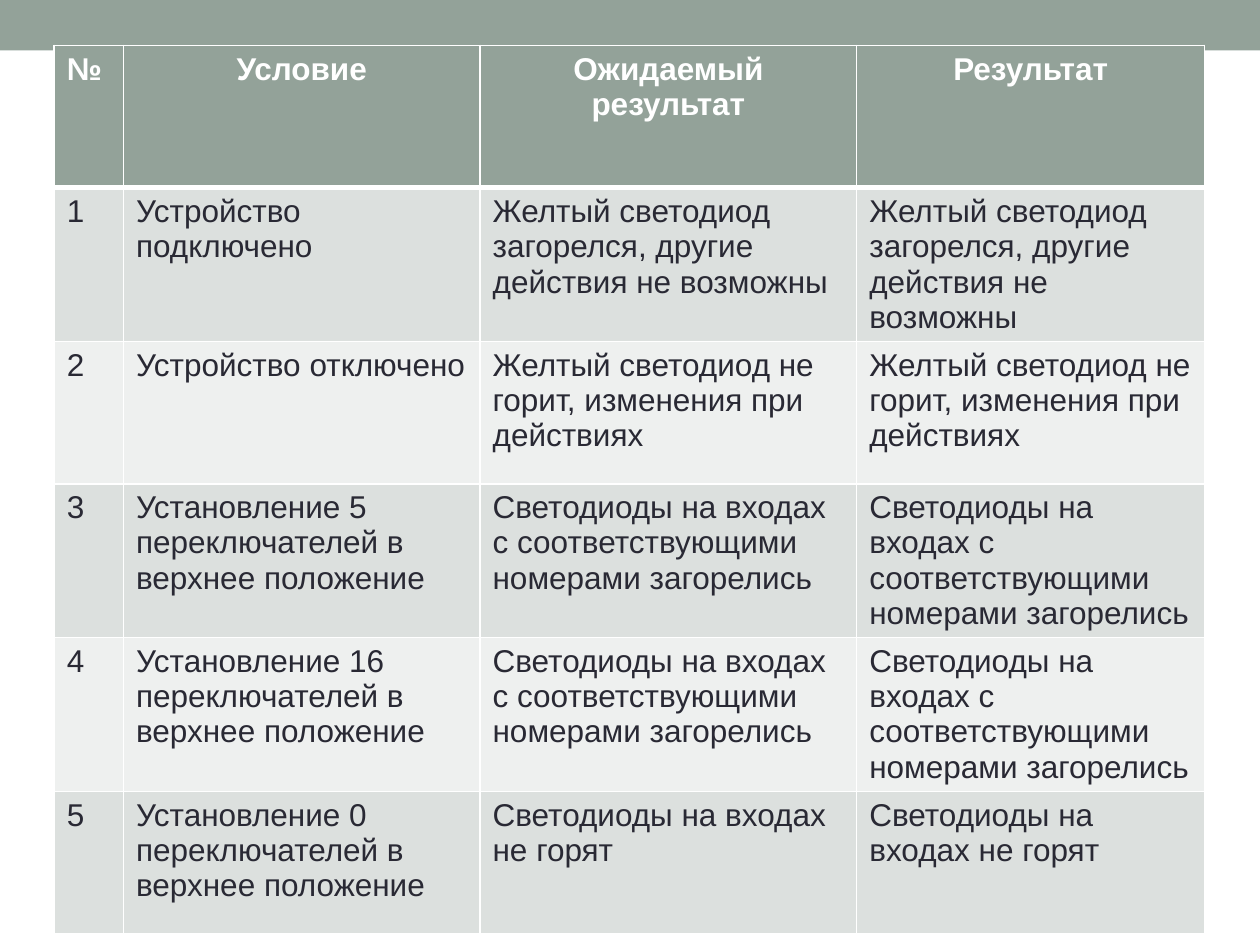
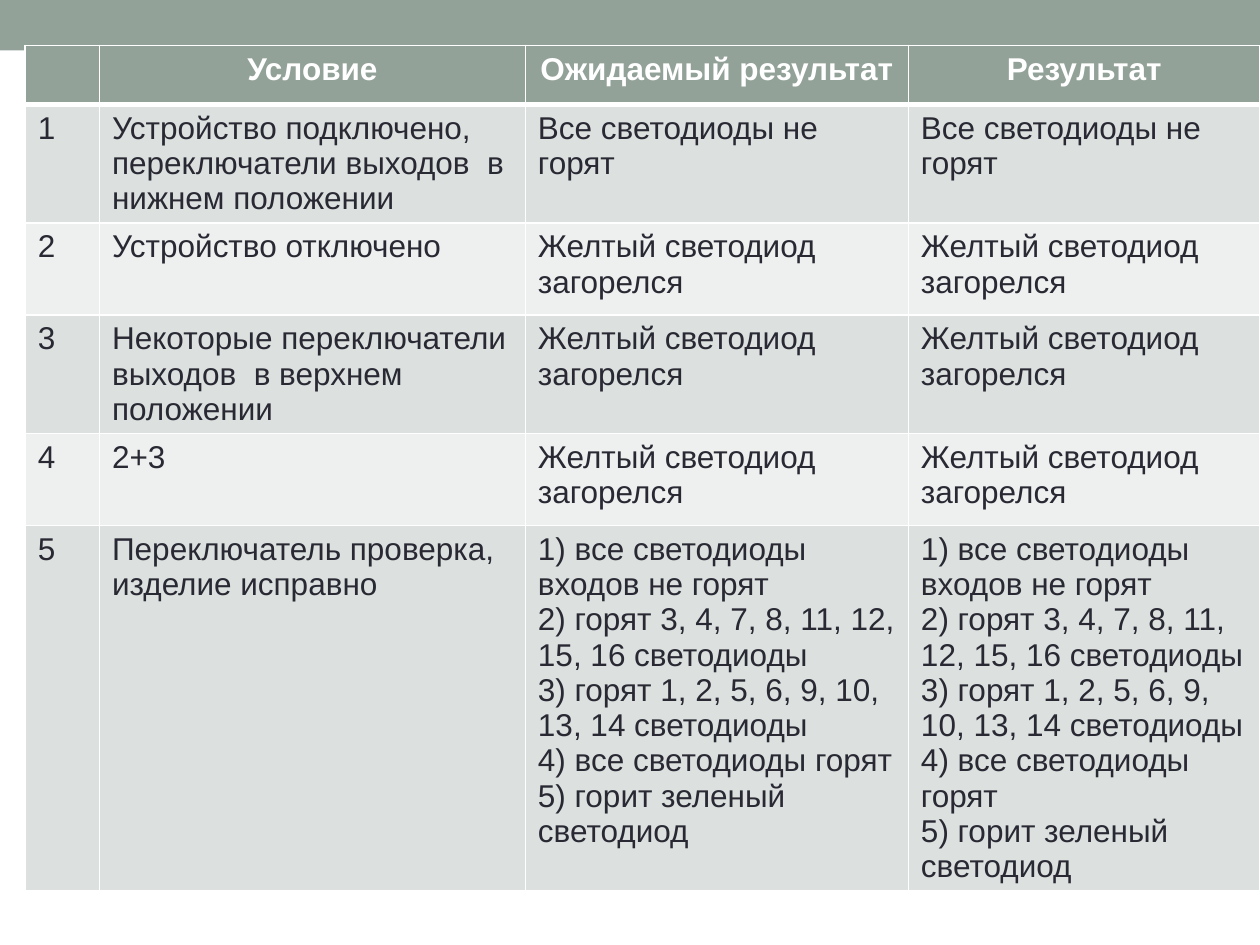
"""Build two slides of device test tables under a shared top band."""
from dataclasses import dataclass

from lxml.etree import SubElement
from pptx import Presentation
from pptx.dml.color import RGBColor
from pptx.enum.shapes import MSO_SHAPE
from pptx.enum.text import PP_ALIGN
from pptx.oxml.ns import qn
from pptx.util import Inches, Pt

COLORS = {
    "accent": "93A299",
    "odd_row": "DCE0DE",
    "even_row": "EEF0EF",
    "ink": "292934",
    "white": "FFFFFF",
}
FONT = "Arial"
TABLE_TOP = 0.36
THIN, THICK = 1, 3


@dataclass(frozen=True)
class Check:
    """One test: its condition and the outcome, both expected and observed."""
    condition: str
    outcome: str


@dataclass(frozen=True)
class TestTable:
    """Content and measures, in inches, of one test table."""
    number_heading: str
    left: float
    column_widths: tuple[float, ...]
    row_heights: tuple[float, ...]
    checks: tuple[Check, ...]

    def rows(self) -> list[tuple[str, ...]]:
        """Return the heading row followed by the numbered checks."""
        heading = (self.number_heading, "Условие", "Ожидаемый результат", "Результат")
        return [heading] + [
            (str(number), check.condition, check.outcome, check.outcome)
            for number, check in enumerate(self.checks, 1)
        ]


MATCHING_INPUTS_LIT = "Светодиоды на входах с соответствующими номерами загорелись"
YELLOW_LIT = "Желтый светодиод загорелся"
SELF_TEST_STEPS = "\n".join((
    "1) все светодиоды входов не горят",
    "2) горят 3, 4, 7, 8, 11, 12, 15, 16 светодиоды",
    "3) горят 1, 2, 5, 6, 9, 10, 13, 14 светодиоды",
    "4) все светодиоды горят",
    "5) горит зеленый светодиод",
))

INPUT_TESTS = TestTable(
    number_heading="№",
    left=0.43,
    column_widths=(0.55, 2.83, 2.99, 2.76),
    row_heights=(1.13,) * 6,
    checks=(
        Check("Устройство подключено",
              "Желтый светодиод загорелся, другие действия не возможны"),
        Check("Устройство отключено",
              "Желтый светодиод не горит, изменения при действиях"),
        Check("Установление 5 переключателей в верхнее положение", MATCHING_INPUTS_LIT),
        Check("Установление 16 переключателей в верхнее положение", MATCHING_INPUTS_LIT),
        Check("Установление 0 переключателей в верхнее положение",
              "Светодиоды на входах не горят"),
    ),
)
OUTPUT_TESTS = TestTable(
    number_heading="",
    left=0.2,
    column_widths=(0.59, 3.38, 3.04, 2.79),
    row_heights=(0.47, 0.87, 0.73, 0.87, 0.73, 0.73),
    checks=(
        Check("Устройство подключено, переключатели выходов  в нижнем положении",
              "Все светодиоды не горят"),
        Check("Устройство отключено", YELLOW_LIT),
        Check("Некоторые переключатели выходов  в верхнем положении", YELLOW_LIT),
        Check("2+3", YELLOW_LIT),
        Check("Переключатель проверка, изделие исправно", SELF_TEST_STEPS),
    ),
)


def rgb(name: str) -> RGBColor:
    """Return a palette colour."""
    return RGBColor.from_string(COLORS[name])


def write_text(frame, text: str, *, color: str, size: float = 18,
               bold: bool = False, align=PP_ALIGN.LEFT) -> None:
    """Write text, one paragraph a line, in the given format."""
    frame.text = text
    for paragraph in frame.paragraphs:
        paragraph.alignment = align
        font = paragraph.font
        font.size = Pt(size)
        for run in paragraph.runs:
            run.font.name = FONT
            run.font.size = Pt(size)
            run.font.bold = bold
            run.font.color.rgb = rgb(color)


def set_borders(cell, *, top: float = THIN, bottom: float = THIN) -> None:
    """Draw white borders on all sides of a cell, with widths in points."""
    properties = cell._tc.get_or_add_tcPr()
    widths = {"a:lnL": THIN, "a:lnR": THIN, "a:lnT": top, "a:lnB": bottom}
    for position, (tag, width) in enumerate(widths.items()):
        line = SubElement(properties, qn(tag), w=str(Pt(width)))
        fill = SubElement(line, qn("a:solidFill"))
        SubElement(fill, qn("a:srgbClr"), val=COLORS["white"])
        properties.insert(position, line)


def add_band(slide) -> None:
    """Draw the band across the top of a slide."""
    band = slide.shapes.add_shape(MSO_SHAPE.RECTANGLE, 0, 0, Inches(10), Inches(0.4))
    band.shadow.inherit = False
    band.fill.solid()
    band.fill.fore_color.rgb = rgb("accent")
    band.line.fill.background()


def style_cell(cell, text: str, row: int, column: int) -> None:
    """Fill, border and write one cell according to its place."""
    is_heading = row == 0
    fill = "accent" if is_heading else "odd_row" if row % 2 else "even_row"
    cell.fill.solid()
    cell.fill.fore_color.rgb = rgb(fill)
    set_borders(cell, top=THICK if row == 1 else THIN,
                bottom=THICK if is_heading else THIN)
    write_text(cell.text_frame, text, color="white" if is_heading else "ink",
               bold=is_heading,
               align=PP_ALIGN.CENTER if is_heading and column else PP_ALIGN.LEFT)


def add_test_table(slide, tests: TestTable) -> None:
    """Draw a test table."""
    rows = tests.rows()
    table = slide.shapes.add_table(
        len(rows), len(tests.column_widths), Inches(tests.left), Inches(TABLE_TOP),
        Inches(sum(tests.column_widths)), Inches(sum(tests.row_heights))).table
    for column, width in zip(table.columns, tests.column_widths):
        column.width = Inches(width)
    for row, height in zip(table.rows, tests.row_heights):
        row.height = Inches(height)
    for row_index, texts in enumerate(rows):
        for column_index, text in enumerate(texts):
            style_cell(table.cell(row_index, column_index), text, row_index, column_index)


def main() -> None:
    """Build and save the presentation."""
    presentation = Presentation()
    presentation.slide_width, presentation.slide_height = Inches(10), Inches(7.5)
    blank_layout = presentation.slide_layouts[6]
    for tests in (INPUT_TESTS, OUTPUT_TESTS):
        slide = presentation.slides.add_slide(blank_layout)
        add_band(slide)
        add_test_table(slide, tests)
    presentation.save("out.pptx")


if __name__ == "__main__":
    main()
